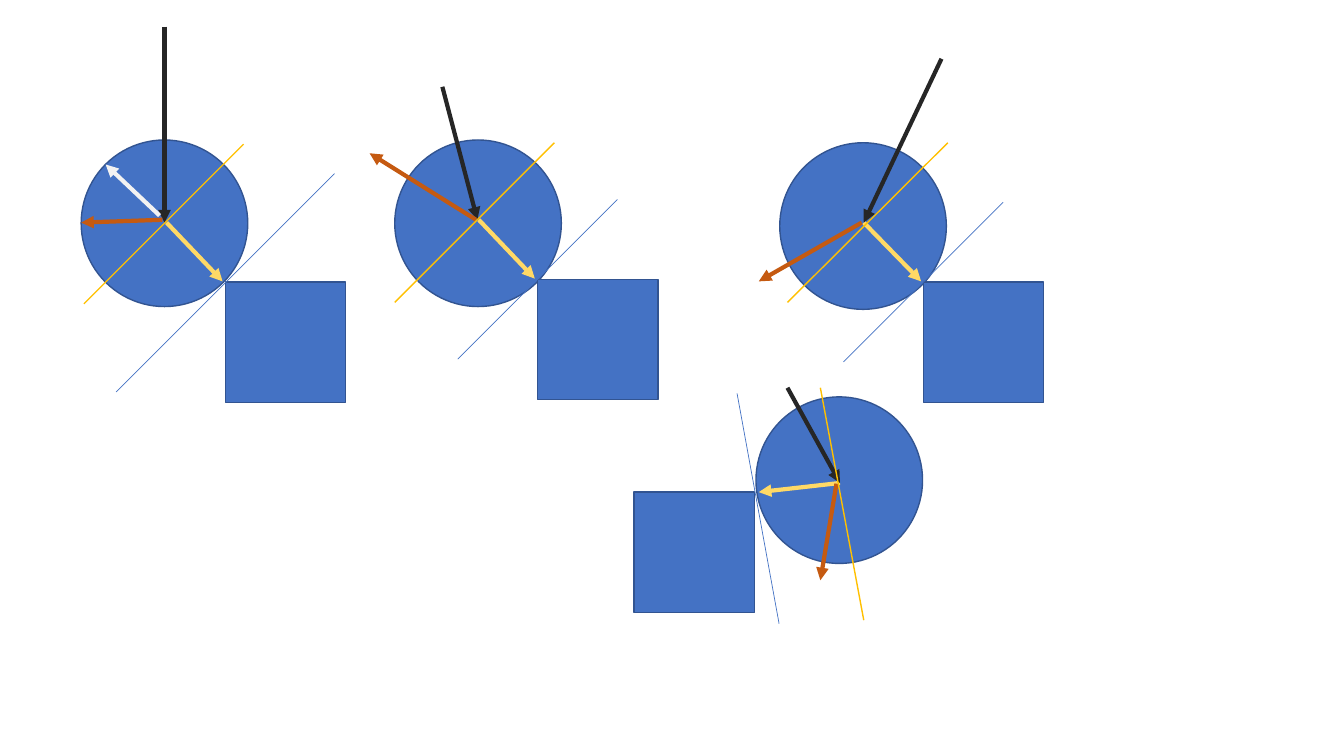
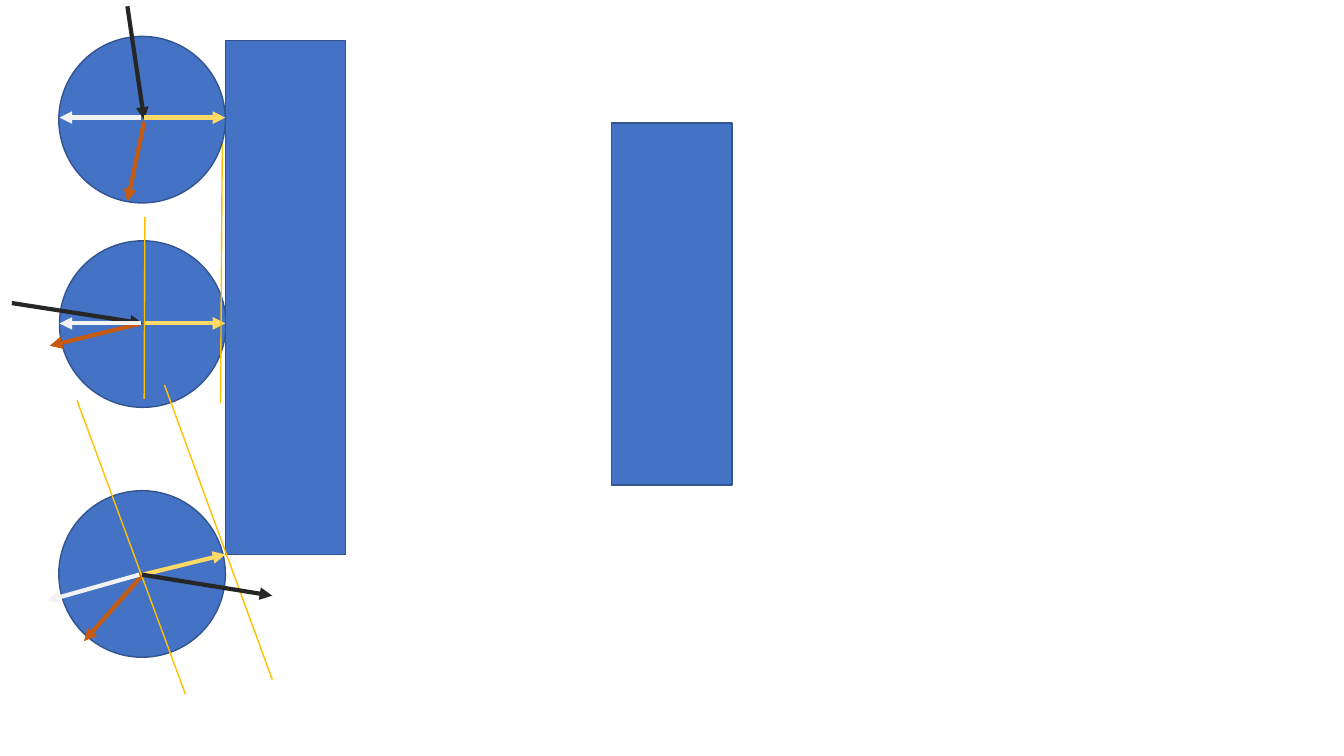
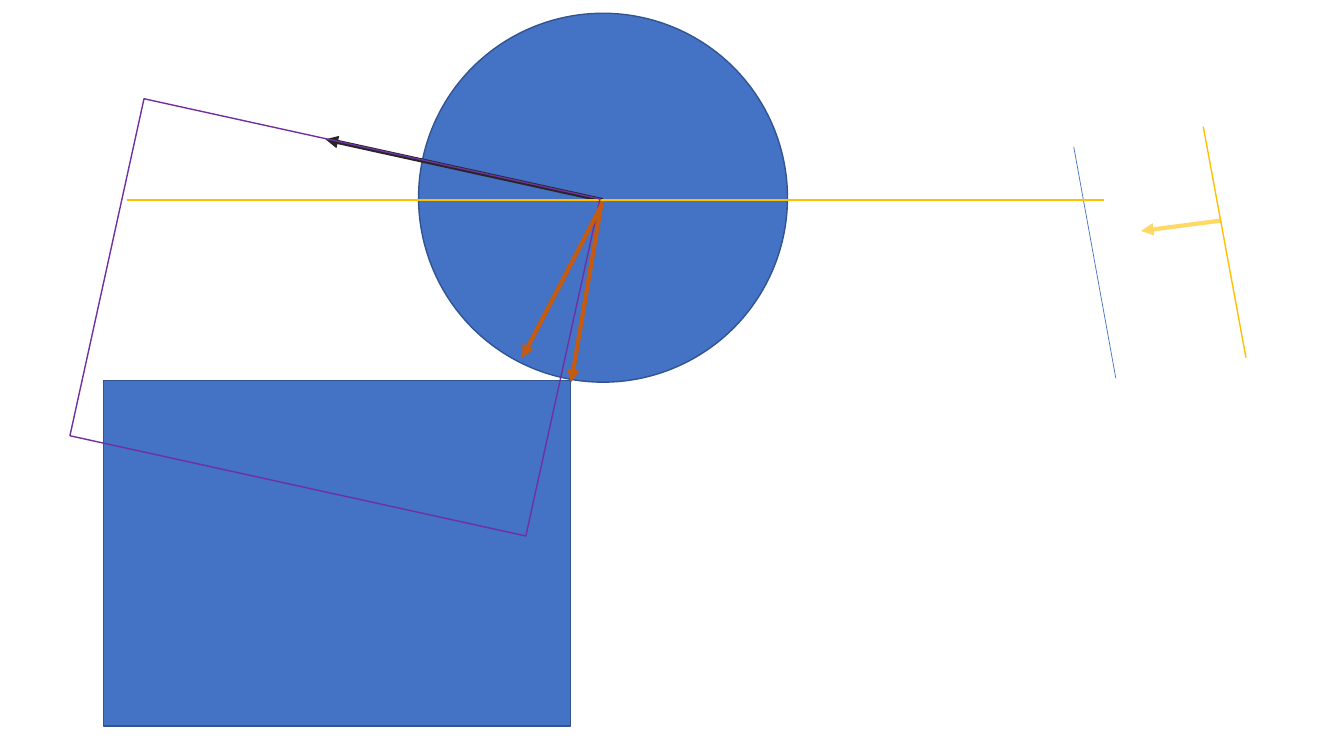
"""Build three slides of force diagrams: balls pressed against boxes."""
from lxml.etree import SubElement
from pptx import Presentation
from pptx.dml.color import RGBColor
from pptx.enum.shapes import MSO_CONNECTOR, MSO_SHAPE
from pptx.oxml.ns import qn
from pptx.util import Pt


def color(hex_value):
    return RGBColor.from_string(hex_value)


FILL = "4472C4"
BALL = 119
BOX = 86
SHAPES = {
    "ball": (MSO_SHAPE.OVAL, FILL, "325491", 0),
    "box": (MSO_SHAPE.RECTANGLE, FILL, "325491", 0),
    "frame": (MSO_SHAPE.RECTANGLE, None, "7030A0", 12.4),
}
LINES = {
    "push": ("262626", 3, True),
    "contact": ("FFD966", 3, True),
    "rebound": ("C55A11", 3, True),
    "reverse": ("F2F2F2", 3, True),
    "tangent": (FILL, 0.5, False),
    "axis": ("FFC000", 1, False),
}

corner_hits = [
    ("ball", 58, 100, BALL, BALL),
    ("box", 161, 201.5, BOX, BOX),
    ("ball", 282, 100, BALL, BALL),
    ("box", 384, 199.5, BOX, BOX),
    ("push", 117.5, 19, 117.5, 159),
    ("contact", 119, 159, 159, 201),
    ("rebound", 116, 157, 58, 159),
    ("contact", 342, 157, 382, 199),
    ("push", 316, 62, 341, 157),
    ("tangent", 239, 124, 83, 280),
    ("tangent", 441, 142.5, 327, 256.5),
    ("rebound", 340, 157, 264, 109.5),
    ("ball", 557, 102, BALL, BALL),
    ("box", 659.5, 201.5, BOX, BOX),
    ("contact", 617, 159, 658, 201),
    ("push", 672.5, 42, 617, 159),
    ("tangent", 716.5, 144.5, 602.5, 258.5),
    ("rebound", 615.5, 159, 542, 201),
    ("reverse", 114, 154, 75.5, 117.5),
    ("ball", 540, 283.5, BALL, BALL),
    ("box", 453, 351.5, BOX, BOX),
    ("contact", 600, 345, 542, 351.5),
    ("push", 562.5, 277, 600, 345),
    ("tangent", 526.5, 281, 556.5, 445.5),
    ("rebound", 597.5, 345.5, 586, 414.5),
    ("axis", 586, 277, 617, 443),
    ("axis", 396, 102, 282, 216),
    ("axis", 174, 103, 60, 217),
    ("axis", 677, 102, 562.5, 216),
]
wall_hits = [
    ("ball", 42.5, 172, BALL, BALL),
    ("box", 161, 29, BOX, 367),
    ("push", 8.5, 216.5, 102, 231),
    ("contact", 103, 231, 161, 231),
    ("rebound", 101, 231, 35.5, 247),
    ("reverse", 101, 231, 42.5, 231),
    ("axis", 103, 285, 103.5, 155),
    ("ball", 42, 350.5, BALL, BALL),
    ("box", 437, 88, BOX, 258.5),
    ("contact", 102, 410.5, 161, 396),
    ("rebound", 102, 410.5, 60, 458),
    ("reverse", 99.5, 410.5, 34, 429),
    ("axis", 117.5, 275, 194.5, 485.5),
    ("axis", 55, 286, 132.5, 496),
    ("axis", 159, 73, 157.5, 288),
    ("push", 101.5, 410.5, 194.5, 425.5),
    ("ball", 42, 26, BALL, BALL),
    ("push", 91, 4.5, 103, 85.5),
    ("contact", 103, 84, 161, 84),
    ("reverse", 101, 84, 42.5, 84),
    ("rebound", 103, 87, 91, 144),
]
large_hit = [
    ("ball", 299, 9.5, 263.5, 263.5),
    ("box", 74, 272, 333.5, 246.5),
    ("contact", 872.5, 157.5, 815, 165),
    ("push", 430.5, 143, 232.5, 99.5),
    ("tangent", 767, 105, 797, 270),
    ("rebound", 430, 143, 408, 273),
    ("axis", 859.5, 90.5, 890, 255.5),
    ("axis", 90.5, 143, 788.5, 143),
    ("frame", 72.5, 103.5, 333.5, 246.5),
    ("rebound", 430, 146, 373, 255.5),
]

deck = Presentation()
deck.slide_width = Pt(960)
deck.slide_height = Pt(540)

for diagram in (corner_hits, wall_hits, large_hit):
    page = deck.slides.add_slide(deck.slide_layouts[6])
    for role, *numbers in diagram:
        lengths = [Pt(number) for number in numbers]
        if role in SHAPES:
            preset, fill, outline, angle = SHAPES[role]
            shape = page.shapes.add_shape(preset, *lengths)
            shape.shadow.inherit = False
            shape.rotation = angle
            if fill:
                shape.fill.solid()
                shape.fill.fore_color.rgb = color(fill)
            else:
                shape.fill.background()
            shape.line.color.rgb = color(outline)
            shape.line.width = Pt(1)
        else:
            stroke, width, has_arrow = LINES[role]
            line = page.shapes.add_connector(MSO_CONNECTOR.STRAIGHT, *lengths)
            line.line.color.rgb = color(stroke)
            line.line.width = Pt(width)
            properties = line._element.spPr
            if has_arrow:
                SubElement(properties.find(qn("a:ln")), qn("a:tailEnd"), type="triangle")
            SubElement(properties, qn("a:effectLst"))

deck.save("out.pptx")
